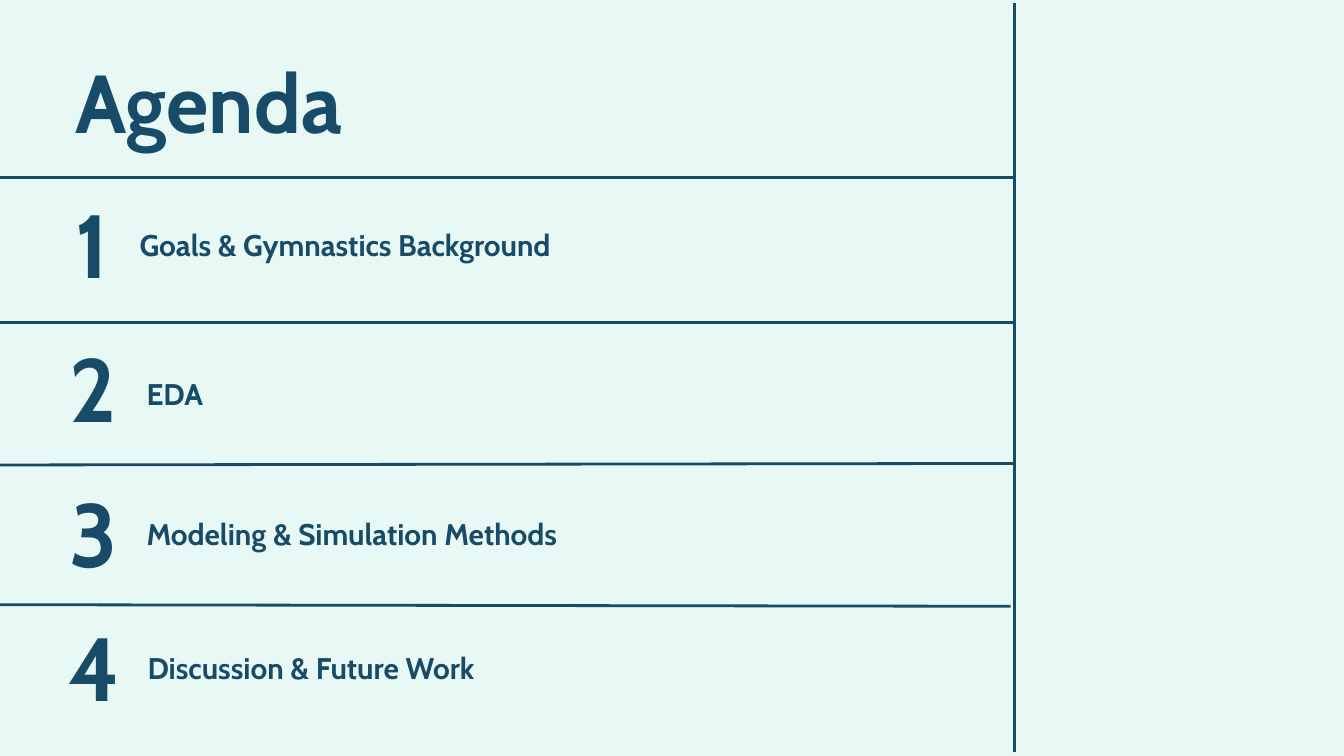
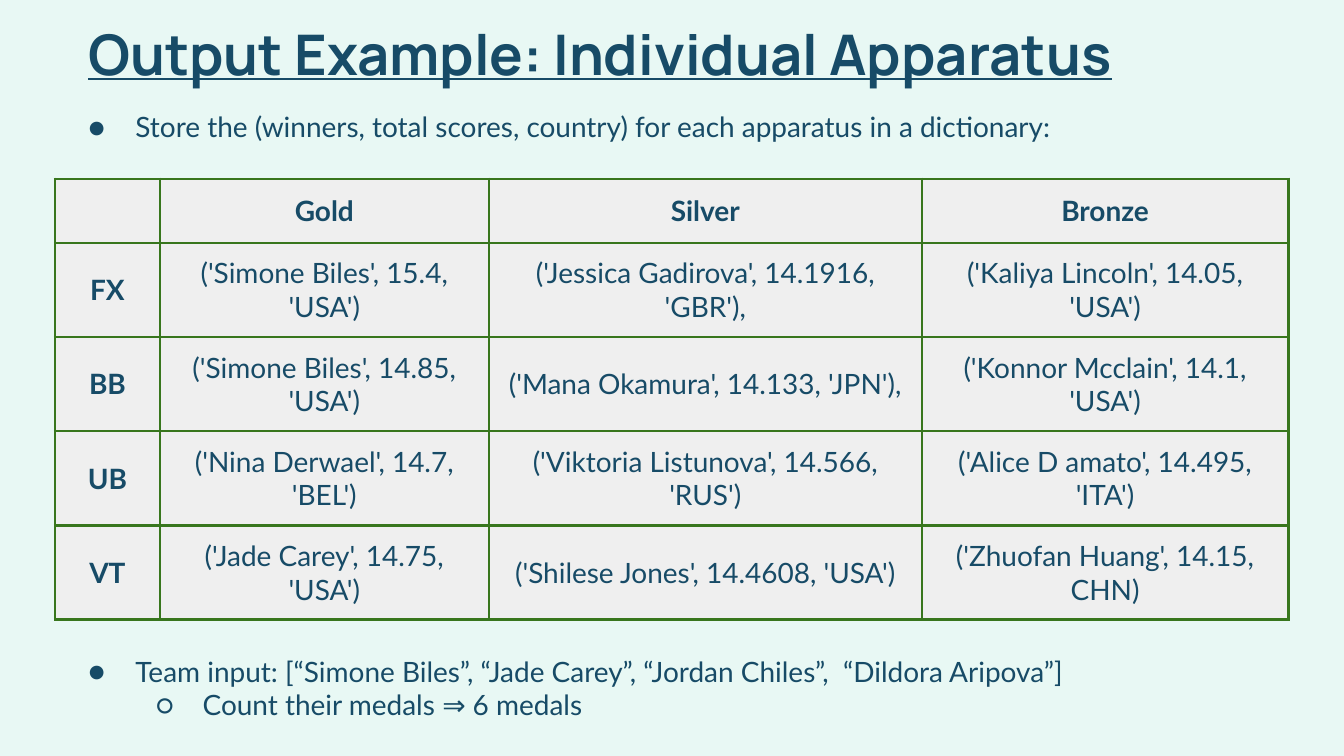
import lxml.etree
import pptx
import pptx.dml.color
import pptx.enum.shapes
import pptx.enum.text
import pptx.oxml
import pptx.oxml.ns
import pptx.util

Cm = pptx.util.Cm
NAVY, MINT, GREY, GREEN = "174B67", "E8F8F4", "EFEFEF", "38761D"
RULE_WIDTH = 1.5
CELL_MARGIN = 0.25

HEADING = {"name": "Cabin", "size": 44, "bold": True}
NUMBER = {"name": "Cabin", "size": 48, "bold": True}
LABEL = {"name": "Cabin", "size": 16, "bold": True}
TITLE = {"name": "Manrope", "size": 30, "bold": True, "underline": True}
BODY = {"name": "Lato", "size": 15, "bold": False}
BODY_BOLD = {**BODY, "bold": True}

AGENDA = [
    ("Goals & Gymnastics Background", (2.64, 4.29, 13.41), (1.42, 3.58)),
    ("EDA", (2.77, 7.11, 5), (1.32, 6.3)),
    ("Modeling & Simulation Methods", (2.77, 9.75, 9.93), (1.32, 9.04)),
    ("Discussion & Future Work", (2.79, 12.29, 14.27), (1.3, 11.56)),
]
AGENDA_RULES = [
    (19.15, 3.35, 0, 3.35),
    (19.15, 6.1, 0, 6.1),
    (19.2, 8.76, 0, 8.79),
    (19.1, 11.46, 0, 11.43),
    (19.18, 14.22, 19.18, 0.05),
]

MEDALS = [
    ("", "Gold", "Silver", "Bronze"),
    ("FX", "('Simone Biles', 15.4, 'USA')", "('Jessica Gadirova', 14.1916, 'GBR'),",
     "('Kaliya Lincoln', 14.05, 'USA')"),
    ("BB", "('Simone Biles', 14.85, 'USA')", "('Mana Okamura', 14.133, 'JPN'),",
     "('Konnor Mcclain', 14.1, 'USA')"),
    ("UB", "('Nina Derwael', 14.7, 'BEL')", "('Viktoria Listunova', 14.566, 'RUS')",
     "('Alice D amato', 14.495, 'ITA')"),
    ("VT", "('Jade Carey', 14.75, 'USA')", "('Shilese Jones', 14.4608, 'USA')",
     "('Zhuofan Huang', 14.15, CHN)"),
]
COLUMN_WIDTHS = (1.98, 6.22, 8.18, 6.93)
HEADER_HEIGHT, ROW_HEIGHT = 1.21, 1.78

INTRO = [(0, "Store the (winners, total scores, country) for each apparatus in a dictionary:")]
RESULT = [
    (0, "Team input: [“Simone Biles”, “Jade Carey”, “Jordan Chiles”,  “Dildora Aripova”]"),
    (1, "Count their medals ⇒ 6 medals"),
]
BULLETS = ("●", "○")


def color(value):
    return pptx.dml.color.RGBColor.from_string(value)


def add_element(parent, tag, **attributes):
    element = lxml.etree.SubElement(parent, pptx.oxml.ns.qn(tag))
    for name, value in attributes.items():
        element.set(name, str(value))
    return element


def write(paragraph, text, style):
    run = paragraph.add_run()
    run.text = text
    for name, value in style.items():
        setattr(run.font, name, pptx.util.Pt(value) if name == "size" else value)
    run.font.color.rgb = color(NAVY)


def add_frame(slide, box, margin=0):
    frame = slide.shapes.add_textbox(*map(Cm, box)).text_frame
    frame.word_wrap = True
    for side in ("left", "right", "top", "bottom"):
        setattr(frame, f"margin_{side}", Cm(margin))
    return frame


def add_text(slide, box, text, style, margin=0):
    frame = add_frame(slide, box, margin)
    write(frame.paragraphs[0], text, style)
    return frame


def add_bullets(slide, box, items):
    frame = add_frame(slide, box, CELL_MARGIN)
    for index, (level, text) in enumerate(items):
        paragraph = frame.add_paragraph() if index else frame.paragraphs[0]
        paragraph.level = level
        properties = paragraph._p.get_or_add_pPr()
        properties.set("marL", str(Cm(1.27 * (level + 1))))
        properties.set("indent", str(-Cm(0.89)))
        add_element(add_element(properties, "a:buClr"), "a:srgbClr", val=NAVY)
        add_element(properties, "a:buFont", typeface="Lato")
        add_element(properties, "a:buChar", char=BULLETS[level])
        write(paragraph, text, BODY)


def add_rule(slide, ends):
    line = slide.shapes.add_connector(
        pptx.enum.shapes.MSO_CONNECTOR.STRAIGHT, *map(Cm, ends))
    line.line.color.rgb = color(NAVY)
    line.line.width = pptx.util.Pt(RULE_WIDTH)
    add_element(line._element.spPr, "a:effectLst")


def format_cell(cell, text, style):
    properties = cell._tc.get_or_add_tcPr()
    for side in ("a:lnL", "a:lnR", "a:lnT", "a:lnB"):
        border = add_element(properties, side, w=pptx.util.Pt(RULE_WIDTH))
        add_element(add_element(border, "a:solidFill"), "a:srgbClr", val=GREEN)
    cell.fill.solid()
    cell.fill.fore_color.rgb = color(GREY)
    cell.vertical_anchor = pptx.enum.text.MSO_ANCHOR.MIDDLE
    for side in ("left", "right", "top", "bottom"):
        setattr(cell, f"margin_{side}", Cm(CELL_MARGIN))
    paragraph = cell.text_frame.paragraphs[0]
    paragraph.alignment = pptx.enum.text.PP_ALIGN.CENTER
    write(paragraph, text, style)


def add_medal_table(slide, left, top):
    heights = [HEADER_HEIGHT] + [ROW_HEIGHT] * (len(MEDALS) - 1)
    table = slide.shapes.add_table(
        len(MEDALS), len(COLUMN_WIDTHS), Cm(left), Cm(top),
        Cm(sum(COLUMN_WIDTHS)), Cm(sum(heights))).table
    table.first_row = table.horz_banding = False
    for column, width in zip(table.columns, COLUMN_WIDTHS):
        column.width = Cm(width)
    for row_index, (row, height) in enumerate(zip(table.rows, heights)):
        row.height = Cm(height)
        for column_index, text in enumerate(MEDALS[row_index]):
            is_header = row_index == 0 or column_index == 0
            format_cell(row.cells[column_index], text, BODY_BOLD if is_header else BODY)


def add_slide(presentation):
    slide = presentation.slides.add_slide(presentation.slide_layouts[6])
    slide.background.fill.solid()
    slide.background.fill.fore_color.rgb = color(MINT)
    return slide


def build_agenda(presentation):
    slide = add_slide(presentation)
    add_text(slide, (1.42, 0.97, 11, 1.88), "Agenda", HEADING)
    for ends in AGENDA_RULES:
        add_rule(slide, ends)
    for number, (label, label_box, number_place) in enumerate(AGENDA, 1):
        add_text(slide, (*number_place, 1.35, 2.06), str(number), NUMBER)
        add_text(slide, (*label_box, 0.69), label, LABEL)


def build_output_example(presentation):
    slide = add_slide(presentation)
    add_medal_table(slide, 1.04, 3.38)
    title = add_text(slide, (1.42, 0.1, 22.58, 1.8),
                     "Output Example: Individual Apparatus", TITLE, CELL_MARGIN)
    title.vertical_anchor = pptx.enum.text.MSO_ANCHOR.MIDDLE
    add_bullets(slide, (1.04, 12.12, 23.32, 1.8), RESULT)
    add_bullets(slide, (1.04, 1.83, 19.58, 1.8), INTRO)


def main():
    presentation = pptx.Presentation()
    presentation.slide_width = Cm(25.4)
    presentation.slide_height = Cm(14.29)
    build_agenda(presentation)
    build_output_example(presentation)
    presentation.save("out.pptx")


if __name__ == "__main__":
    main()
